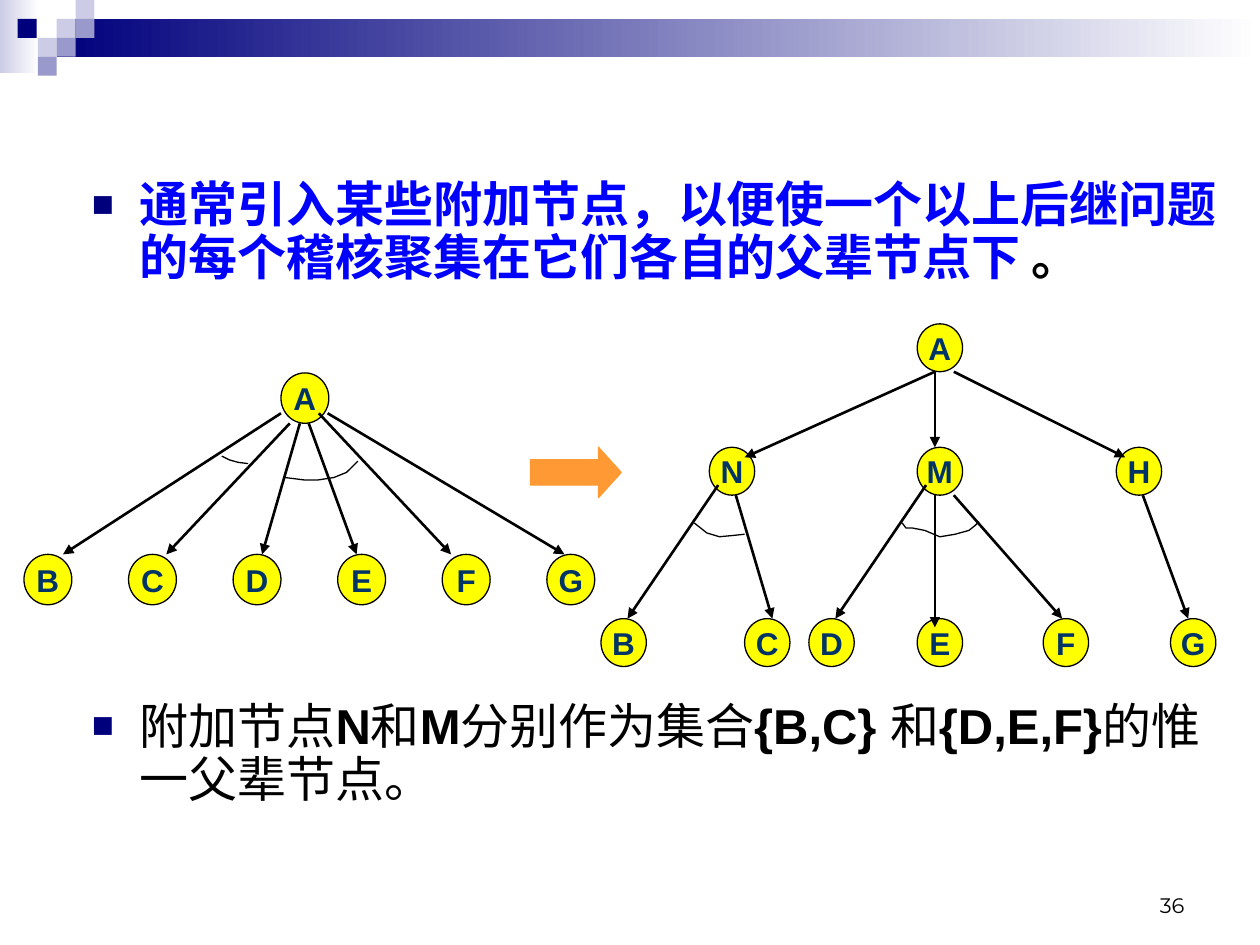
from dataclasses import dataclass
from lxml.etree import SubElement
from pptx import Presentation
from pptx.dml.color import RGBColor
from pptx.enum.shapes import MSO_CONNECTOR, MSO_SHAPE
from pptx.enum.text import MSO_ANCHOR, MSO_AUTO_SIZE, PP_ALIGN
from pptx.oxml.ns import qn
from pptx.util import Pt

PX = 9144


@dataclass(frozen=True)
class Theme:
    black: str = "000000"
    white: str = "FFFFFF"
    navy: str = "00007D"
    mid: str = "9999CC"
    pale: str = "CCCCE6"
    blue: str = "0000FF"
    yellow: str = "FFFF00"
    ink: str = "003366"
    orange: str = "FF9933"
    font: str = "Arial"
    foot: str = "Montserrat"
    body: int = 28
    label: int = 18
    small: int = 12
    thin: float = 0.75
    thick: float = 1.5


def put(item, **vals):
    for name, val in vals.items():
        setattr(item, name, val)


def scale(*lens):
    return [n * PX for n in lens]


class Page:
    def __init__(self, slide, theme):
        self.slide = slide
        self.shapes = slide.shapes
        self.theme = theme

    def line(self, shape, color, width):
        shape.line.color.rgb = RGBColor.from_string(color)
        shape.line.width = Pt(width)

    def say(self, para, text, color, size, face=None, bold=False):
        run = para.add_run()
        run.text = text
        put(run.font, name=face or self.theme.font, size=Pt(size), bold=bold)
        run.font.color.rgb = RGBColor.from_string(color)

    def block(self, box, fill, kind=MSO_SHAPE.RECTANGLE):
        shape = self.shapes.add_shape(kind, *scale(*box))
        shape.shadow.inherit = False
        shape.fill.solid()
        shape.fill.fore_color.rgb = RGBColor.from_string(fill)
        shape.line.fill.background()
        return shape

    def fade(self, box, color):
        fill = self.block(box, color).fill
        fill.gradient()
        fill.gradient_angle = 0
        for stop, tint in zip(fill.gradient_stops, (color, self.theme.white)):
            stop.color.rgb = RGBColor.from_string(tint)

    def node(self, text, box):
        t = self.theme
        shape = self.block(box, t.yellow, MSO_SHAPE.OVAL)
        self.line(shape, t.black, t.thin)
        put(shape.text_frame, word_wrap=False,
            vertical_anchor=MSO_ANCHOR.MIDDLE)
        para = shape.text_frame.paragraphs[0]
        para.alignment = PP_ALIGN.CENTER
        self.say(para, text, t.ink, t.label, bold=True)

    def edge(self, *ends):
        link = self.shapes.add_connector(MSO_CONNECTOR.STRAIGHT, *scale(*ends))
        self.line(link, self.theme.black, self.theme.thick)
        props = link._element.spPr
        SubElement(props.find(qn("a:ln")), qn("a:tailEnd"), type="triangle")
        SubElement(props, qn("a:effectLst"))

    def arc(self, start, *points):
        curve = self.shapes.build_freeform(*start, scale=PX)
        curve.add_line_segments(points, close=False)
        shape = curve.convert_to_shape()
        shape.shadow.inherit = False
        shape.fill.background()
        self.line(shape, self.theme.black, self.theme.thin)

    def arrow(self, box):
        t = self.theme
        shape = self.block(box, t.orange, MSO_SHAPE.RIGHT_ARROW)
        self.line(shape, t.orange, t.thin)
        shape.adjustments[1] = 0.45

    def place(self, shape, box):
        names = ("left", "top", "width", "height")
        put(shape, **dict(zip(names, scale(*box))))

    def bullet(self, holder, box, runs):
        t = self.theme
        self.place(holder, box)
        put(holder.text_frame, word_wrap=True, auto_size=MSO_AUTO_SIZE.NONE,
            vertical_anchor=MSO_ANCHOR.TOP)
        para = holder.text_frame.paragraphs[0]
        props = para._p.get_or_add_pPr()
        for name, val in {"marL": 38, "indent": -38}.items():
            props.set(name, str(val * PX))
        tint = SubElement(props, qn("a:buClr"))
        SubElement(tint, qn("a:srgbClr"), val=t.navy)
        SubElement(props, qn("a:buSzPct"), val="75000")
        SubElement(props, qn("a:buFont"), typeface=t.font)
        SubElement(props, qn("a:buChar"), char="■")
        put(para, line_spacing=0.9, space_before=Pt(0))
        for text, color, bold in runs:
            self.say(para, text, color, t.body, bold=bold)

    def number(self, text, box):
        t = self.theme
        frame = self.shapes.add_textbox(*scale(*box)).text_frame
        put(frame, word_wrap=True, vertical_anchor=MSO_ANCHOR.BOTTOM)
        para = frame.paragraphs[0]
        para.alignment = PP_ALIGN.RIGHT
        self.say(para, text, t.black, t.small, t.foot)


def banner(page):
    t = page.theme
    page.fade((0, 0, 31, 58), t.pale)
    page.fade((45, 15, 955, 30), t.navy)
    tiles = [(45, 15, t.pale), (60, 0, t.pale), (60, 15, t.mid),
             (30, 30, t.pale), (14, 15, t.navy), (45, 30, t.mid),
             (30, 45, t.mid)]
    for x, y, fill in tiles:
        page.block((x, y, 15, 15), fill)


def before(page):
    size = (38, 40)
    page.node("A", (223, 296, *size))
    for i, name in enumerate("BCDEFG"):
        page.node(name, (19 + 83 * i, 440, *size))
    edges = [(223, 328, 50), (230, 336, 132), (238, 336, 208),
             (245, 336, 283), (253, 328, 358), (260, 328, 448)]
    for x, y, end in edges:
        page.edge(x, y, end, 440)
    page.arc((176, 362), (182, 365), (189, 367), (197, 368))
    page.arc((226, 379), (234, 380), (242, 381), (252, 381), (265, 379),
             (275, 375), (284, 366))


def after(page):
    rows = {257: [("A", 728)],
            355: [("N", 563), ("M", 728), ("H", 886)],
            491: [("B", 477), ("C", 591), ("D", 642), ("E", 728),
                  ("F", 828), ("G", 929)]}
    for y, row in rows.items():
        for name, x in row:
            page.node(name, (x, y, 36, 38))
    edges = [(742, 295, 742, 355), (757, 295, 893, 363), (742, 295, 591, 363),
             (570, 385, 498, 491), (584, 393, 613, 491), (742, 393, 742, 498),
             (735, 385, 663, 491), (757, 393, 843, 491), (907, 393, 943, 491)]
    for ends in edges:
        page.edge(*ends)
    page.arc((551, 415), (556, 419), (561, 423), (571, 426), (582, 425),
             (591, 424))
    page.arc((716, 415), (719, 419), (724, 419), (734, 421), (746, 426),
             (758, 424), (769, 421), (774, 417), (777, 414))


def main():
    deck = Presentation()
    put(deck, slide_width=1000 * PX, slide_height=750 * PX)
    page = Page(deck.slides.add_slide(deck.slide_layouts[3]), Theme())
    t = page.theme
    title, first, last = page.slide.placeholders
    title._element.getparent().remove(title._element)
    banner(page)
    page.number("36", (717, 683, 233, 50))
    page.bullet(first, (63, 138, 914, 277), [
        ("通常引入某些附加节点，以便使一个以上后继问题的每个稽核聚集在它们各自的父辈节点下 ",
         t.blue, True),
        ("。", t.black, True)])
    before(page)
    after(page)
    page.arrow((421, 355, 72, 40))
    words = ["附加节点", "N", "和", "M", "分别作为集合", "{B,C} ", "和",
             "{D,E,F}", "的惟一父辈节点。"]
    page.bullet(last, (63, 552, 914, 144),
                [(word, t.black, i % 2 == 1) for i, word in enumerate(words)])
    deck.save("out.pptx")


if __name__ == "__main__":
    main()
